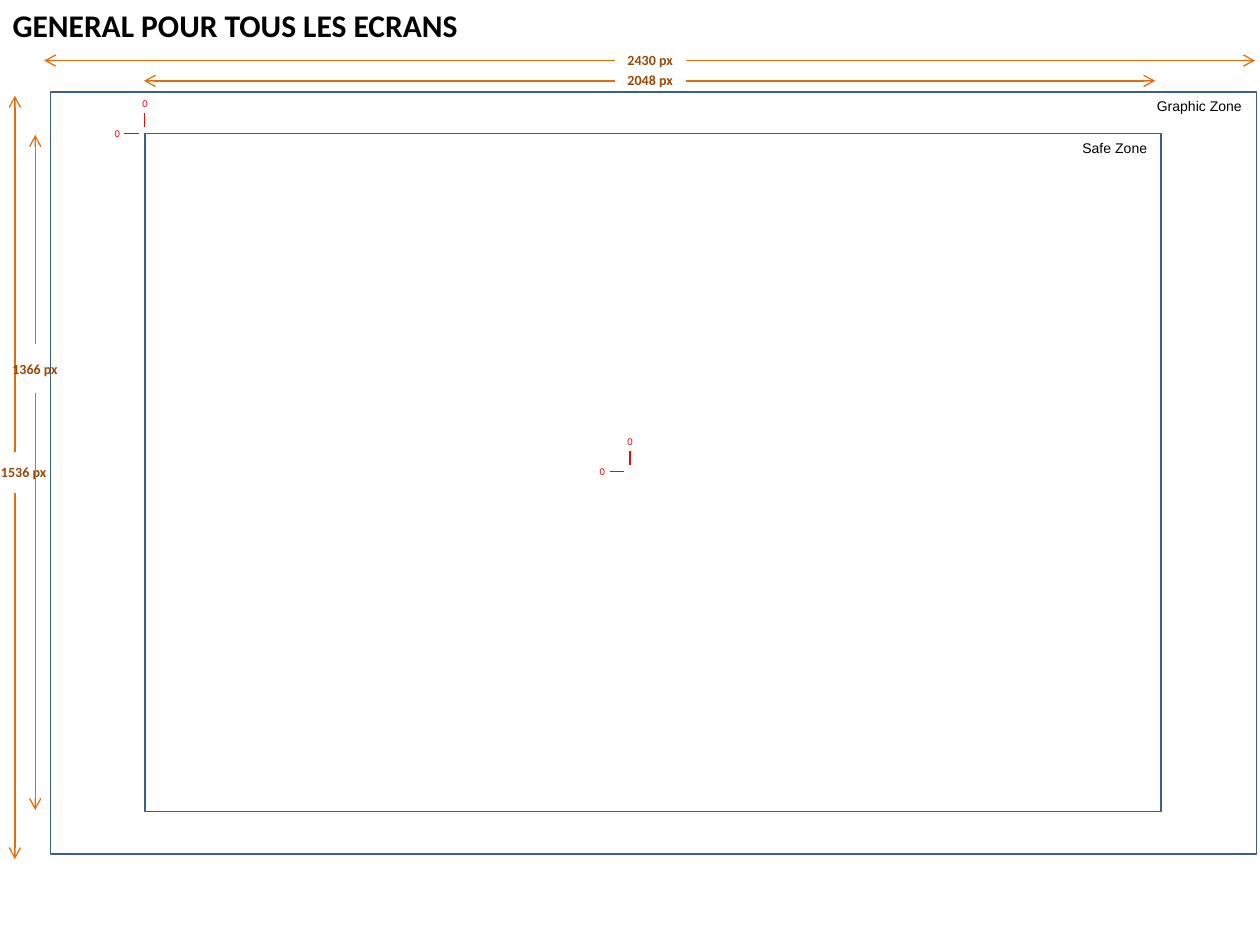
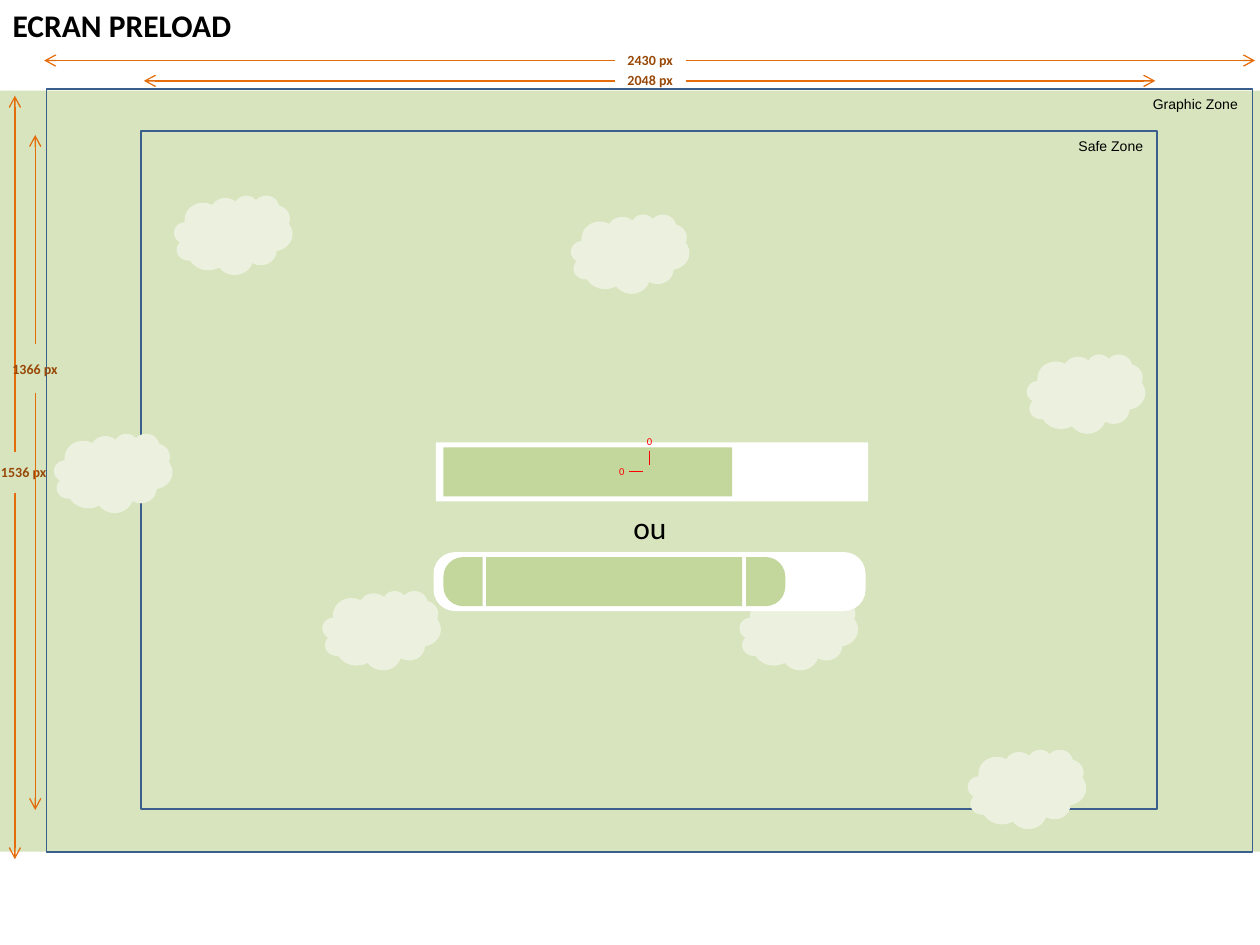
from pptx import Presentation, util as u
from pptx.dml.color import RGBColor
from pptx.enum import shapes, text
from pptx.oxml import parse_xml
from pptx.oxml.ns import nsdecls, qn

BLACK = RGBColor(0x00, 0x00, 0x00)
WHITE = RGBColor(0xFF, 0xFF, 0xFF)
BLUE = RGBColor(0x3A, 0x5F, 0x8C)
ORANGE = RGBColor(0xE4, 0x6C, 0x0A)
BROWN = RGBColor(0x98, 0x48, 0x07)
RED = RGBColor(0xFF, 0x00, 0x00)
BAND_GREEN = RGBColor(0xD7, 0xE4, 0xBD)
BAR_GREEN = RGBColor(0xC3, 0xD6, 0x9B)
CLOUD_GREEN = RGBColor(0xEB, 0xF1, 0xDE)

TITLE_FONT = {"name": "Calibri", "size": u.Pt(18), "bold": True}
ZONE_FONT = {"name": "Arial", "size": u.Pt(8)}
SIZE_FONT = {"name": "Calibri", "size": u.Pt(8), "bold": True}
MARK_FONT = {"name": "Calibri", "size": u.Pt(6)}
OR_FONT = {"name": "Calibri", "size": u.Pt(18)}

KIND = shapes.MSO_SHAPE

# All lengths below are centimetres.
# Name, offset from the zone corner, size, label width
ZONES = [
    ("Safe Zone", (1.91, 0.84), (20.47, 13.67), 1.83),
    ("Graphic Zone", (0, 0), (24.31, 15.37), 2.26),
]
LABEL_HEIGHT = 0.61
SIZE_WIDTH = 1.42
# Label, height of the arrows, left and right tips
WIDTHS = [("2430 px", 1.22, 0.89, 25.3), ("2048 px", 1.63, 2.9, 23.29)]
WIDTH_LABEL_LEFT = 12.4
# Label, its left and top, x of the arrows, (start, tip) up and down
HEIGHTS = [
    ("1536 px", -0.23, 9.22, 0.3, [(9.12, 1.93), (9.93, 17.32)]),
    ("1366 px", 0, 7.14, 0.71, [(6.93, 2.72), (7.92, 16.33)]),
]

SCREENS = [
    {"title": "GENERAL POUR TOUS LES ECRANS", "title_width": 9.58,
     "zone_corner": (1.02, 1.85), "marks": [(2.92, 2.69), (12.7, 9.5)],
     "preload": False},
    {"title": "ECRAN PRELOAD", "title_width": 4.95,
     "zone_corner": (0.94, 1.8), "marks": [(13.09, 9.5)],
     "preload": True},
]

BAND = (0, 1.83, 25.4, 15.34)
SQUARE_BAR = [
    ((8.79, 8.92, 8.71, 1.19), WHITE),
    ((8.94, 9.02, 5.82, 0.99), BAR_GREEN),
]
CLOUDS = [(1.09, 8.74), (6.5, 11.91), (19.51, 15.11), (3.51, 3.94),
          (11.51, 4.32), (14.91, 11.91), (20.7, 7.14)]
CLOUD_SIZE = (2.39, 1.6)
ROUND_BAR = (8.74, 11.13, 8.71, 1.19)
ROUND_FILL = (9.8, 11.23, 5.16, 0.99)
CAP_TOP, CAP_SIZE = 11.33, (0.99, 0.79)
CAPS = [(8.84, 270), (14.94, 90)]
OR_BOX = (12.52, 10.11, 1.19, 1.02)


def cm(values):
    return [u.Cm(value) for value in values]


def format_text(frame, words, font, color):
    frame.text = words
    frame.word_wrap = False
    frame.auto_size = text.MSO_AUTO_SIZE.SHAPE_TO_FIT_TEXT
    span = frame.paragraphs[0].runs[0]
    for name, value in font.items():
        setattr(span.font, name, value)
    span.font.color.rgb = color


def add_label(page, place, words, font, color=BLACK, inset=None):
    box = page.shapes.add_textbox(*cm(place))
    format_text(box.text_frame, words, font, color)
    if inset is not None:
        for side in ("left", "top", "right", "bottom"):
            setattr(box.text_frame, f"margin_{side}", u.Cm(inset))
    return box


def add_figure(page, kind, place, fill=None, line=None, rotation=0, corner=None):
    figure = page.shapes.add_shape(kind, *cm(place))
    figure.shadow.inherit = False
    figure.rotation = rotation
    if corner is not None:
        figure.adjustments[0] = corner
    if fill is None:
        figure.fill.background()
    else:
        figure.fill.solid()
        figure.fill.fore_color.rgb = fill
    if line is None:
        figure.line.fill.background()
    else:
        figure.line.color.rgb = line
        figure.line.width = u.Pt(1)
    return figure


def add_line(page, start, end, color, arrow=False):
    line = page.shapes.add_connector(shapes.MSO_CONNECTOR.STRAIGHT, *cm(start + end))
    line.line.color.rgb = color
    line.line.width = u.Pt(0.75)
    properties = line._element.spPr
    if arrow:
        tip = parse_xml(f'<a:tailEnd {nsdecls("a")} type="arrow"/>')
        properties.find(qn("a:ln")).append(tip)
    properties.append(parse_xml(f'<a:effectLst {nsdecls("a")}/>'))
    return line


def add_title(page, words, width):
    title = page.shapes.title
    title.left, title.top, title.width, title.height = cm((0, 0, width, 1.02))
    format_text(title.text_frame, words, TITLE_FONT, BLACK)
    title.text_frame.vertical_anchor = text.MSO_ANCHOR.TOP
    title.text_frame.paragraphs[0].alignment = text.PP_ALIGN.LEFT


def add_zones(page, corner):
    places = []
    for name, offset, size, label_width in ZONES:
        left, top = corner[0] + offset[0], corner[1] + offset[1]
        add_figure(page, KIND.RECTANGLE, (left, top, *size), line=BLUE)
        label_left = left + size[0] - label_width
        places.append((name, (label_left, top, label_width, LABEL_HEIGHT)))
    for name, place in places:
        add_label(page, place, name, ZONE_FONT)


def add_dimensions(page):
    for words, y, left_tip, right_tip in WIDTHS:
        place = (WIDTH_LABEL_LEFT, y - LABEL_HEIGHT / 2, SIZE_WIDTH, LABEL_HEIGHT)
        label = add_label(page, place, words, SIZE_FONT, BROWN)
        sides = [(1, WIDTH_LABEL_LEFT, left_tip),
                 (3, WIDTH_LABEL_LEFT + SIZE_WIDTH, right_tip)]
        for side, start, tip in sides:
            arrow = add_line(page, (start, y), (tip, y), ORANGE, arrow=True)
            arrow.begin_connect(label, side)
    for words, left, top, x, arrows in HEIGHTS:
        for start, tip in arrows:
            add_line(page, (x, start), (x, tip), ORANGE, arrow=True)
        add_label(page, (left, top, SIZE_WIDTH, LABEL_HEIGHT), words, SIZE_FONT, BROWN)


def add_origin_mark(page, x, y):
    """Two ticks, each with a zero, that point at (x, y)."""
    far, near = 0.41, 0.12
    add_line(page, (x, y - far), (x, y - near), RED)
    add_line(page, (x - far, y), (x - near, y), RED)
    for left, top in [(x - 0.05, y - 0.74), (x - 0.61, y - 0.13)]:
        add_label(page, (left, top, 0.1, 0.25), "0", MARK_FONT, RED, inset=0)


def add_clouds_and_round_bar(page):
    for corner in CLOUDS:
        add_figure(page, KIND.CLOUD, corner + CLOUD_SIZE, CLOUD_GREEN)
    add_figure(page, KIND.ROUNDED_RECTANGLE, ROUND_BAR, WHITE, corner=0.365)
    add_figure(page, KIND.RECTANGLE, ROUND_FILL, BAR_GREEN)
    for left, rotation in CAPS:
        add_figure(page, KIND.ROUND_2_SAME_RECTANGLE, (left, CAP_TOP, *CAP_SIZE),
                   BAR_GREEN, rotation=rotation, corner=0.5)
    add_label(page, OR_BOX, "ou", OR_FONT)


def add_screen(deck, screen):
    page = deck.slides.add_slide(deck.slide_layouts[5])
    add_title(page, screen["title"], screen["title_width"])
    if screen["preload"]:
        add_figure(page, KIND.RECTANGLE, BAND, BAND_GREEN)
    add_zones(page, screen["zone_corner"])
    add_dimensions(page)
    if screen["preload"]:
        for place, fill in SQUARE_BAR:
            add_figure(page, KIND.RECTANGLE, place, fill)
    for x, y in screen["marks"]:
        add_origin_mark(page, x, y)
    if screen["preload"]:
        add_clouds_and_round_bar(page)


def main():
    deck = Presentation()
    deck.slide_width, deck.slide_height = cm((25.4, 19.05))
    for screen in SCREENS:
        add_screen(deck, screen)
    deck.save("out.pptx")


if __name__ == "__main__":
    main()
